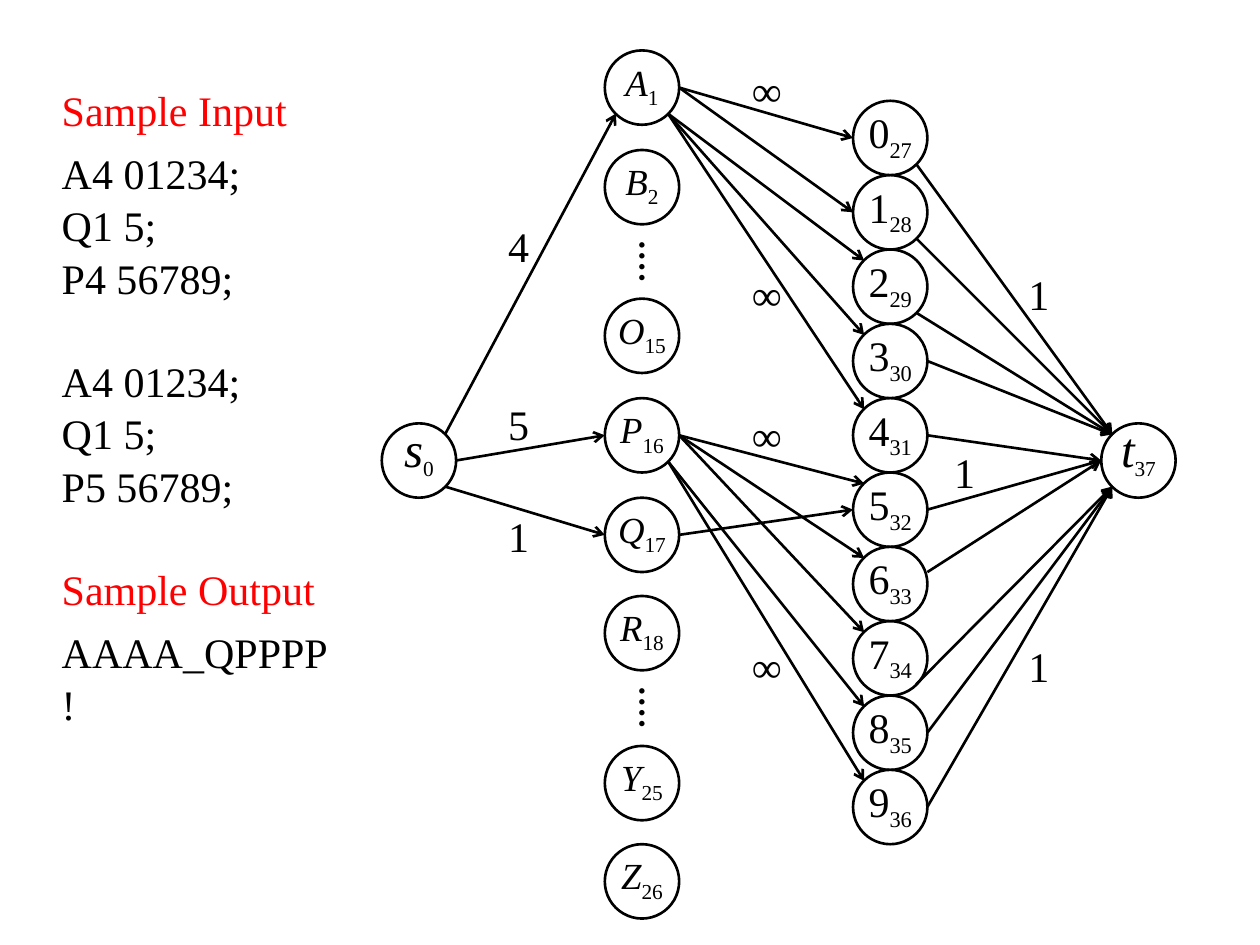
"""Build a slide that shows a flow network beside its sample input and output."""
from lxml import etree
from pptx import Presentation
from pptx import util as u
from pptx.dml.color import RGBColor
from pptx.enum import shapes, text
from pptx.oxml.ns import qn


class Theme:
    font = "Times New Roman"
    black = RGBColor(0, 0, 0)
    white = RGBColor(255, 255, 255)
    red = RGBColor(255, 0, 0)
    body, label, dots = 24, 24, 28
    ends, letter, digit = (28, 21), (21, 21), (24, 22)
    thick, thin = 1.5, 0.75
    lead, gap, after = 1.2, 30, 6


SCALE = 9144
SIZE = 59
TOP, MID, LOW = text.MSO_ANCHOR.TOP, text.MSO_ANCHOR.MIDDLE, text.MSO_ANCHOR.BOTTOM

BODY = (47, 60, 217, 630)
GROUPS = [
    ("Sample Input", ["A4 01234;", "Q1 5;", "P4 56789;"]),
    ("", ["A4 01234;", "Q1 5;", "P5 56789;"]),
    ("Sample Output", ["AAAA_QPPPP", "!"]),
]
LABELS = [
    ("1", 736, 355, MID, 4, 0),
    ("∞", 579, 60, MID, 0, 12),
    ("∞", 579, 218, TOP, 0, 5),
    ("∞", 579, 336, MID, 0, 16),
    ("∞", 579, 513, TOP, 0, 5),
    ("1", 795, 218, TOP, 0, 5),
    ("1", 795, 513, TOP, 0, 5),
    ("4", 382, 178, MID, 5, 5),
    ("5", 382, 316, TOP, 5, 5),
    ("1", 382, 414, MID, 0, 12),
]
DOTS = [178, 532]
ENDS = [("s", 0, 303), ("t", 37, 874)]
END_TOP = 336
LETTERS = [("A", 1, 40), ("B", 2, 119), ("O", 15, 237), ("P", 16, 316),
           ("Q", 17, 395), ("R", 18, 473), ("Y", 25, 592), ("Z", 26, 670)]
LETTER_LEFT = 480
DIGIT_LEFT, DIGIT_TOP, DIGIT_BASE = 677, 80, 27
PORTS = {"e": (1, 0.5), "e+": (1, 0.34), "w": (0, 0.5), "ne": (0.85, 0.15),
         "se": (0.85, 0.85), "nw": (0.15, 0.15), "sw": (0.15, 0.85)}
EDGES = [
    ("s", "ne", "A", "sw"), ("s", "e", "P", "w"), ("s", "se", "Q", "w"),
    ("A", "e", "01", "w"), ("A", "se", "234", "nw"),
    ("P", "e", "567", "nw"), ("P", "se", "89", "nw"), ("Q", "e", "5", "w"),
    ("012", "se", "t", "nw"), ("3", "e", "t", "nw"), ("45", "e", "t", "w"),
    ("6", "e+", "t", "w"), ("7", "se", "t", "sw"), ("89", "e", "t", "sw"),
]


def px(*sizes):
    return [u.Emu(round(size * SCALE)) for size in sizes]


def style(run, size, color=Theme.black):
    run.font.name = Theme.font
    run.font.size = u.Pt(size)
    run.font.color.rgb = color


def inset(frame, left, top, right, low):
    (frame.margin_left, frame.margin_top,
     frame.margin_right, frame.margin_bottom) = px(left, top, right, low)


def add_body(slide):
    frame = slide.shapes.add_textbox(*px(*BODY)).text_frame
    frame.word_wrap = True
    inset(frame, 2, 7, 2, 5)
    rows = [(line, line == head, i == 0)
            for head, lines in GROUPS
            for i, line in enumerate([head] * bool(head) + lines)]
    for i, (line, head, start) in enumerate(rows):
        para = frame.add_paragraph() if i else frame.paragraphs[0]
        para.text = line
        if i:
            para.space_before = u.Pt(Theme.gap if start else Theme.lead)
        para.space_after = u.Pt(Theme.after if head else 0)
        style(para.runs[0], Theme.body, Theme.red if head else Theme.black)


def add_label(slide, word, left, top, anchor, over, under, high=39, size=Theme.label):
    box = slide.shapes.add_shape(shapes.MSO_SHAPE.RECTANGLE, *px(left, top, SIZE, high))
    box.shadow.inherit = False
    box.fill.background()
    box.line.color.rgb = Theme.white
    box.line.width = u.Pt(Theme.thin)
    frame = box.text_frame
    frame.vertical_anchor = anchor
    inset(frame, 10, over, 10, under)
    frame.text = word
    para = frame.paragraphs[0]
    para.alignment = text.PP_ALIGN.CENTER
    para.line_spacing = 0.9
    style(para.runs[0], size)


def add_node(slide, name, index, left, top, sizes, anchor=MID):
    node = slide.shapes.add_shape(shapes.MSO_SHAPE.OVAL, *px(left, top, SIZE, SIZE))
    node.shadow.inherit = False
    node.fill.solid()
    node.fill.fore_color.rgb = Theme.white
    node.line.color.rgb = Theme.black
    node.line.width = u.Pt(Theme.thick)
    frame = node.text_frame
    frame.word_wrap = False
    frame.vertical_anchor = anchor
    inset(frame, 0, 0, 0, 5)
    para = frame.paragraphs[0]
    para.alignment = text.PP_ALIGN.CENTER
    for word, size in zip((name, str(index)), sizes):
        run = para.add_run()
        run.text = word
        style(run, size)
    main, sub = para.runs
    main.font.italic = name.isalpha()
    sub.font._element.set("baseline", "-25000")
    return left, top


def add_edge(slide, start, out, end, into):
    points = [pos + SIZE * part
              for node, port in ((start, out), (end, into))
              for pos, part in zip(node, PORTS[port])]
    edge = slide.shapes.add_connector(shapes.MSO_CONNECTOR.STRAIGHT, *px(*points))
    edge.line.color.rgb = Theme.black
    edge.line.width = u.Pt(Theme.thick)
    etree.SubElement(edge.line._get_or_add_ln(), qn("a:tailEnd"), type="arrow")
    etree.SubElement(edge._element.spPr, qn("a:effectLst"))


def main():
    deck = Presentation()
    deck.slide_width, deck.slide_height = px(1000, 750)
    slide = deck.slides.add_slide(deck.slide_layouts[6])
    add_body(slide)
    for label in LABELS:
        add_label(slide, *label)
    for top in DOTS:
        add_label(slide, "⦙", LETTER_LEFT, top, MID, 5, 0, SIZE, Theme.dots)
    nodes = {}
    for name, index, left in ENDS:
        nodes[name] = add_node(slide, name, index, left, END_TOP, Theme.ends, LOW)
    for name, index, top in LETTERS:
        nodes[name] = add_node(slide, name, index, LETTER_LEFT, top, Theme.letter)
    for i in range(10):
        nodes[str(i)] = add_node(slide, str(i), DIGIT_BASE + i, DIGIT_LEFT,
                                 DIGIT_TOP + SIZE * i, Theme.digit)
    for starts, out, ends, into in EDGES:
        for start in starts:
            for end in ends:
                add_edge(slide, nodes[start], out, nodes[end], into)
    deck.save("out.pptx")


if __name__ == "__main__":
    main()
